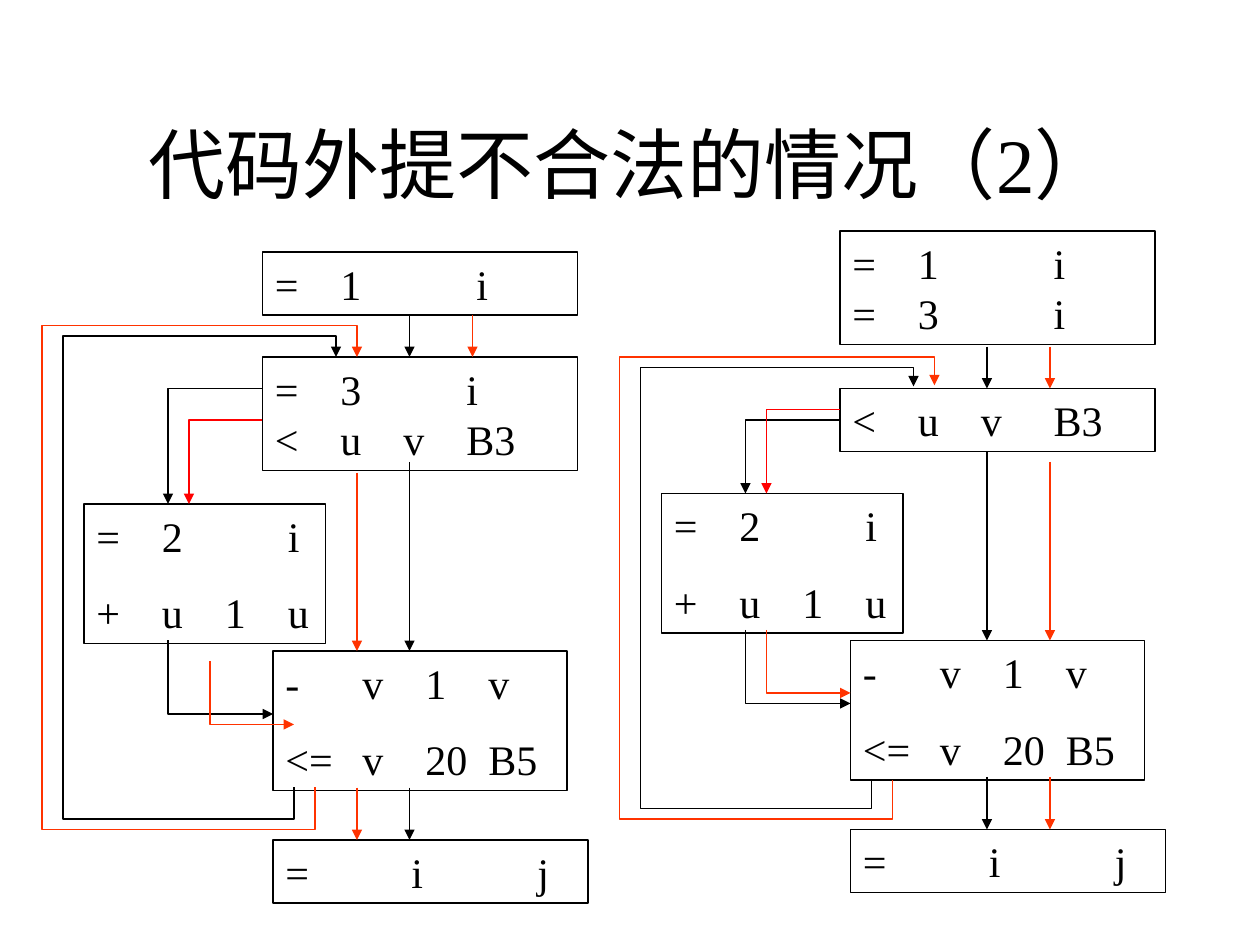
from lxml.etree import SubElement
from pptx import Presentation
from pptx.dml.color import RGBColor
from pptx.enum.shapes import MSO_CONNECTOR, MSO_SHAPE
from pptx.enum.text import MSO_ANCHOR, PP_ALIGN
from pptx.oxml.ns import qn
from pptx.util import Cm, Pt

BLACK, ORANGE, RED = "000000", "FF3300", "FF0000"
FONT = "Times New Roman"
WIDE_STOPS = (1.32, 2.59, 4.06)
EVEN_STOPS = (1.32, 2.59, 3.86)
LOOP_STOPS = (1.55, 2.82, 4.09)
EXIT_STOPS = (2.54, 5.08)
BODY_CODE = ["=\t2\t\ti", "+\tu\t1\tu"]
LOOP_CODE = ["-\tv\t1\tv", "<=\tv\t20\tB5"]
EXIT_CODE = ["=\ti\tj"]

# Each block: left, top, width, height, instructions, tab stops, space between
BEFORE_BLOCKS = [
    (25, 24, 30, 6, ["=\t1\t\ti"], WIDE_STOPS, 0),
    (25, 34, 30, 10.8, ["=\t3\t\ti", "<\tu\tv\tB3"], EVEN_STOPS, 0),
    (8, 48, 23, 13.3, BODY_CODE, EVEN_STOPS, 15),
    (26, 62, 28, 13.3, LOOP_CODE, LOOP_STOPS, 15),
    (26, 80, 30, 6, EXIT_CODE, EXIT_STOPS, 0),
]
AFTER_BLOCKS = [
    (80, 22, 30, 10.8, ["=\t1\t\ti", "=\t3\t\ti"], WIDE_STOPS, 0),
    (80, 37, 30, 6, ["<\tu\tv\tB3"], WIDE_STOPS, 0),
    (63, 47, 23, 13.3, BODY_CODE, EVEN_STOPS, 15),
    (81, 61, 28, 13.3, LOOP_CODE, LOOP_STOPS, 15),
    (81, 79, 30, 6, EXIT_CODE, EXIT_STOPS, 0),
]
BEFORE_FLOWS = [
    (BLACK, [(39, 30), (39, 34)]),
    (BLACK, [(39, 44), (39, 62)]),
    (BLACK, [(39, 75), (39, 80)]),
    (BLACK, [(25, 37), (16, 37), (16, 48)]),
    (BLACK, [(16, 61), (16, 68), (26, 68)]),
    (BLACK, [(28, 75), (28, 78), (6, 78), (6, 32), (32, 32), (32, 34)]),
    (ORANGE, [(45, 30), (45, 34)]),
    (ORANGE, [(34, 45), (34, 62)]),
    (ORANGE, [(34, 75), (34, 80)]),
    (RED, [(25, 40), (18, 40), (18, 48)]),
    (ORANGE, [(20, 63), (20, 69), (28, 69)]),
    (ORANGE, [(30, 75), (30, 79), (4, 79), (4, 31), (34, 31), (34, 34)]),
]
AFTER_FLOWS = [
    (BLACK, [(94, 33), (94, 37)]),
    (BLACK, [(94, 43), (94, 61)]),
    (BLACK, [(94, 74), (94, 79)]),
    (BLACK, [(80, 40), (71, 40), (71, 47)]),
    (BLACK, [(71, 60), (71, 67), (81, 67)]),
    (BLACK, [(83, 74.3), (83, 77), (61, 77), (61, 35), (87, 35), (87, 36.8)]),
    (ORANGE, [(100, 33), (100, 37)]),
    (ORANGE, [(100, 44), (100, 61)]),
    (ORANGE, [(100, 74), (100, 79)]),
    (RED, [(80, 39), (73, 39), (73, 47)]),
    (ORANGE, [(73, 60), (73, 66), (81, 66)]),
    (ORANGE, [(85, 74.3), (85, 78), (59, 78), (59, 34), (89, 34), (89, 36.7)]),
]


def grid(steps):
    """Return the length of a number of grid steps, twelve to 2.54 cm."""
    return Cm(steps * 2.54 / 12)


def color(hex_code):
    """Return the colour for a hex string."""
    return RGBColor.from_string(hex_code)


def style_font(paragraph, size):
    """Set the slide's typeface and black text on a paragraph."""
    paragraph.font.name = FONT
    paragraph.font.size = Pt(size)
    paragraph.font.color.rgb = color(BLACK)


def style_line(shape, hex_code):
    """Give a shape a thin line in one colour."""
    shape.line.color.rgb = color(hex_code)
    shape.line.width = Pt(0.75)


def add_title(slide, wording):
    """Place and format the title."""
    title = slide.shapes.title
    title.left, title.top, title.width, title.height = map(grid, (9, 8, 102, 15))
    title.text_frame.vertical_anchor = MSO_ANCHOR.MIDDLE
    heading = title.text_frame.paragraphs[0]
    heading.text = wording
    heading.alignment = PP_ALIGN.CENTER
    style_font(heading, 44)


def add_block(slide, left, top, width, height, instructions, stops, gap):
    """Draw a basic block with its instructions set in columns."""
    block = slide.shapes.add_shape(
        MSO_SHAPE.RECTANGLE, *map(grid, (left, top, width, height)))
    block.shadow.inherit = False
    block.fill.background()
    style_line(block, BLACK)
    frame = block.text_frame
    frame.word_wrap = True
    frame.vertical_anchor = MSO_ANCHOR.TOP
    for index, instruction in enumerate(instructions):
        row = frame.add_paragraph() if index else frame.paragraphs[0]
        row.text = instruction
        row.alignment = PP_ALIGN.LEFT
        if index and gap:
            row.space_before = Pt(gap)
        tabs = SubElement(row._p.get_or_add_pPr(), qn("a:tabLst"))
        for stop in stops:
            SubElement(tabs, qn("a:tab"), pos=str(Cm(stop)), algn="l")
        style_font(row, 24)


def add_flow(slide, hex_code, corners):
    """Draw a control-flow arrow through its corners."""
    points = [(grid(x), grid(y)) for x, y in corners]
    if len(points) == 2:
        flow = slide.shapes.add_connector(
            MSO_CONNECTOR.STRAIGHT, *points[0], *points[1])
    else:
        builder = slide.shapes.build_freeform(*points[0])
        builder.add_line_segments(points[1:], close=False)
        flow = builder.convert_to_shape()
        flow.fill.background()
    style_line(flow, hex_code)
    SubElement(flow.line._get_or_add_ln(), qn("a:tailEnd"), type="triangle")
    SubElement(flow._element.spPr, qn("a:effectLst"))


def main():
    """Build the slide and save it."""
    presentation = Presentation()
    presentation.slide_width, presentation.slide_height = Cm(25.4), Cm(19.05)
    slide = presentation.slides.add_slide(presentation.slide_layouts[5])
    add_title(slide, "代码外提不合法的情况（2）")
    for block in AFTER_BLOCKS + BEFORE_BLOCKS:
        add_block(slide, *block)
    for hex_code, corners in AFTER_FLOWS + BEFORE_FLOWS:
        add_flow(slide, hex_code, corners)
    presentation.save("out.pptx")


if __name__ == "__main__":
    main()
